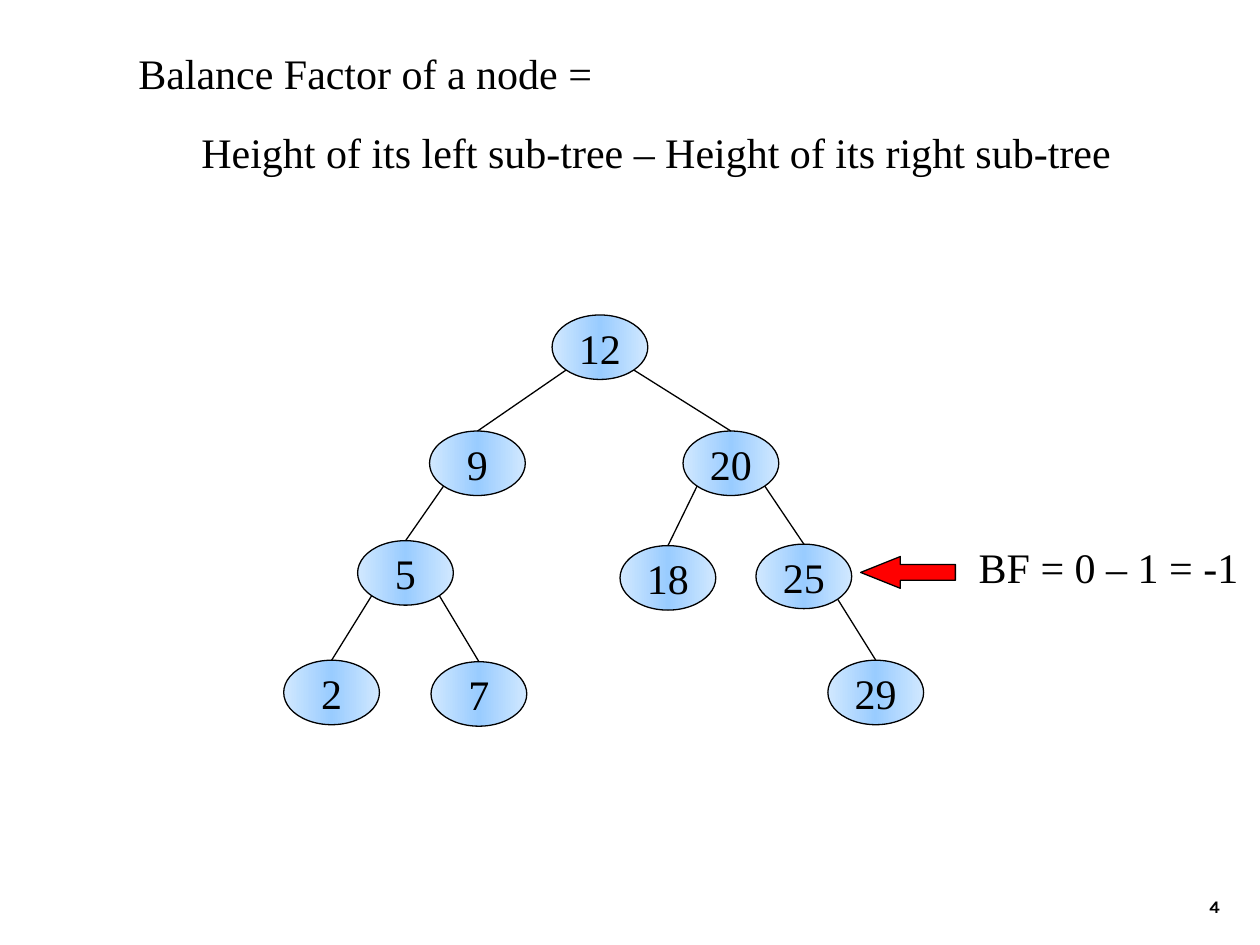
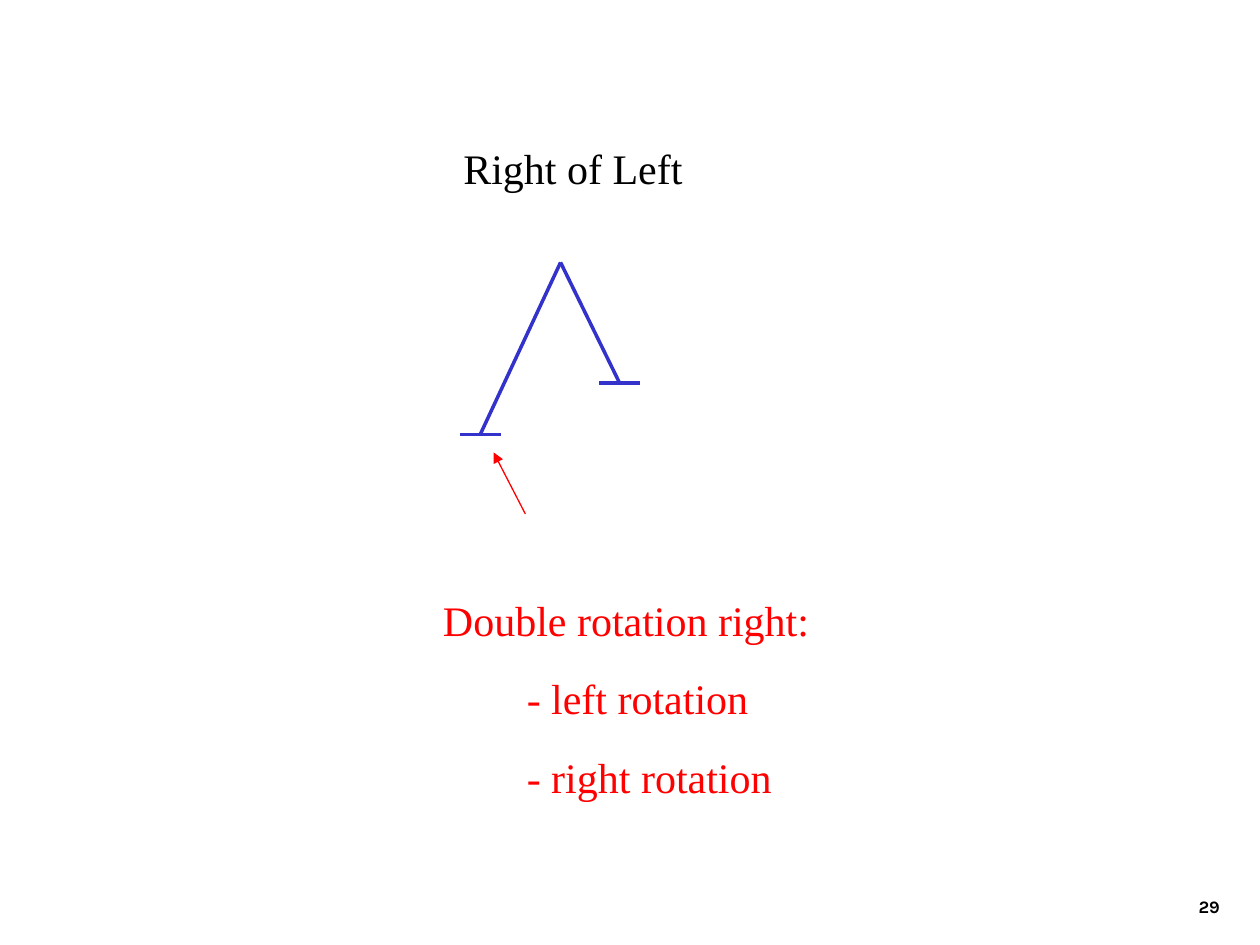
from copy import deepcopy

from lxml import etree
from pptx import Presentation
from pptx.dml.color import RGBColor
from pptx.enum.shapes import MSO_CONNECTOR, MSO_SHAPE
from pptx.enum.text import MSO_ANCHOR, PP_ALIGN
from pptx.oxml.ns import qn
from pptx.util import Cm, Pt

STRAIGHT = MSO_CONNECTOR.STRAIGHT
OVAL, LEFT_ARROW = MSO_SHAPE.OVAL, MSO_SHAPE.LEFT_ARROW
TOP, MIDDLE, BOTTOM = MSO_ANCHOR.TOP, MSO_ANCHOR.MIDDLE, MSO_ANCHOR.BOTTOM
LEFT, CENTER, RIGHT = PP_ALIGN.LEFT, PP_ALIGN.CENTER, PP_ALIGN.RIGHT

BLACK = RGBColor(0x00, 0x00, 0x00)
RED = RGBColor(0xFF, 0x00, 0x00)
BLUE = RGBColor(0x33, 0x33, 0xCC)
SKY = RGBColor(0x99, 0xCC, 0xFF)
PALE = RGBColor(0xD1, 0xE8, 0xFF)

BODY = {"name": "Times New Roman", "size": Pt(24)}
NUMBER = {"name": "Karla", "size": Pt(10), "bold": True}
THIN, THICK = 0.75, 2
TOP_SITE = 0
NODE_W, NODE_H = 1.93, 1.3
DIAGONAL = 0.5 ** 0.5

NODES = {
    12: (11.13, 6.35),
    9: (8.66, 8.69), 20: (13.77, 8.69),
    5: (7.21, 10.9), 18: (12.5, 11), 25: (15.24, 10.97),
    2: (5.72, 13.31), 7: (8.69, 13.34), 29: (16.69, 13.31),
}
EDGES = [(12, 9), (12, 20), (9, 5), (20, 18), (20, 25), (5, 2), (5, 7), (25, 29)]


def write(tf, lines, style=BODY, color=BLACK, align=LEFT, anchor=TOP, wrap=True):
    """Fill a text frame with (text, left indent in cm) lines."""
    tf.word_wrap = wrap
    tf.vertical_anchor = anchor
    for i, (text, indent) in enumerate(lines):
        p = tf.add_paragraph() if i else tf.paragraphs[0]
        p.alignment = align
        p._p.get_or_add_pPr().set("marL", str(Cm(indent)))
        if i:
            p.space_before = Pt(16)
        r = p.add_run()
        r.text = text
        for key, value in style.items():
            setattr(r.font, key, value)
        r.font.color.rgb = color


def add_text(s, box, lines, **options):
    """Add a text box placed by left, top, width and height in cm."""
    write(s.shapes.add_textbox(*map(Cm, box)).text_frame, lines, **options)


def add_shape(s, kind, box):
    """Add a preset shape with a thin black outline and no shadow."""
    sp = s.shapes.add_shape(kind, *map(Cm, box))
    sp.shadow.inherit = False
    sp.line.color.rgb = BLACK
    sp.line.width = Pt(THIN)
    return sp


def add_node(s, key, place):
    """Add a tree node with a three-stop gradient."""
    sp = add_shape(s, OVAL, (*place, NODE_W, NODE_H))
    sp.fill.gradient()
    sp.fill.gradient_angle = 0
    stops = next(sp._element.spPr.iter(qn("a:gsLst")))
    stops.append(deepcopy(stops[0]))
    for stop, position, color in zip(sp.fill.gradient_stops, (0, 0.5, 1), (PALE, SKY, PALE)):
        stop.position = position
        stop.color.rgb = color
    write(sp.text_frame, [(str(key), 0)], align=CENTER, anchor=MIDDLE, wrap=False)
    return sp


def add_line(s, start, end, color=BLACK, width=THIN, arrow=False):
    """Add a straight line between two points in cm."""
    line = s.shapes.add_connector(STRAIGHT, *map(Cm, (*start, *end)))
    line.line.color.rgb = color
    line.line.width = Pt(width)
    if arrow:
        etree.SubElement(line.line._get_or_add_ln(), qn("a:tailEnd"), type="triangle")
    etree.SubElement(line._element.spPr, qn("a:effectLst"))
    return line


def add_edge(s, nodes, parent, child):
    """Join a parent's lower diagonal point to the top of its child."""
    (x, y), (child_x, child_y) = NODES[parent], NODES[child]
    side = -1 if child_x < x else 1
    start = (x + NODE_W / 2 * (1 + side * DIAGONAL), y + NODE_H / 2 * (1 + DIAGONAL))
    line = add_line(s, start, (child_x + NODE_W / 2, child_y))
    line.end_connect(nodes[child], TOP_SITE)


def add_branch(s, apex, foot):
    """Draw a subtree as a slanted line standing on a short bar."""
    x, y = foot
    add_line(s, apex, foot, BLUE, THICK)
    add_line(s, (x - 0.41, y), (x + 0.41, y), BLUE, THICK)


def add_slide(prs, number):
    """Add a blank slide with its number at the lower right."""
    s = prs.slides.add_slide(prs.slide_layouts[6])
    add_text(s, (19.56, 17.35, 5.28, 1.27), [(str(number), 0)],
             style=NUMBER, align=RIGHT, anchor=BOTTOM)
    return s


def balance_factor_slide(prs):
    """Build the slide that defines the balance factor."""
    s = add_slide(prs, 4)
    add_text(s, (2.54, 0.84, 20.75, 2.82), [
        ("Balance Factor of a node =", 0),
        ("Height of its left sub-tree – Height of its right sub-tree", 1.27),
    ])
    nodes = {key: add_node(s, key, place) for key, place in NODES.items()}
    for parent, child in EDGES:
        add_edge(s, nodes, parent, child)
    add_text(s, (19.48, 10.8, 5.92, 1.27), [("BF = 0 – 1 = -1", 0)])
    pointer = add_shape(s, LEFT_ARROW, (17.35, 11.22, 1.91, 0.64))
    pointer.fill.solid()
    pointer.fill.fore_color.rgb = RED
    pointer.adjustments[0], pointer.adjustments[1] = 0.5, 1.25


def rotation_slide(prs):
    """Build the slide on the right-of-left case."""
    s = add_slide(prs, 29)
    add_text(s, (9.09, 2.74, 5.28, 1.27), [("Right of Left", 0)])
    for foot in ((9.68, 8.76), (12.49, 7.72)):
        add_branch(s, (11.3, 5.29), foot)
    add_line(s, (10.59, 10.36), (9.95, 9.12), RED, arrow=True)
    add_text(s, (8.68, 11.86, 8.46, 4.37), [
        ("Double rotation right:", 0),
        ("- left rotation", 1.69),
        ("- right rotation", 1.69),
    ], color=RED)


def main():
    """Build and save the presentation."""
    prs = Presentation()
    prs.slide_width, prs.slide_height = Cm(25.4), Cm(19.05)
    balance_factor_slide(prs)
    rotation_slide(prs)
    prs.save("out.pptx")


if __name__ == "__main__":
    main()
